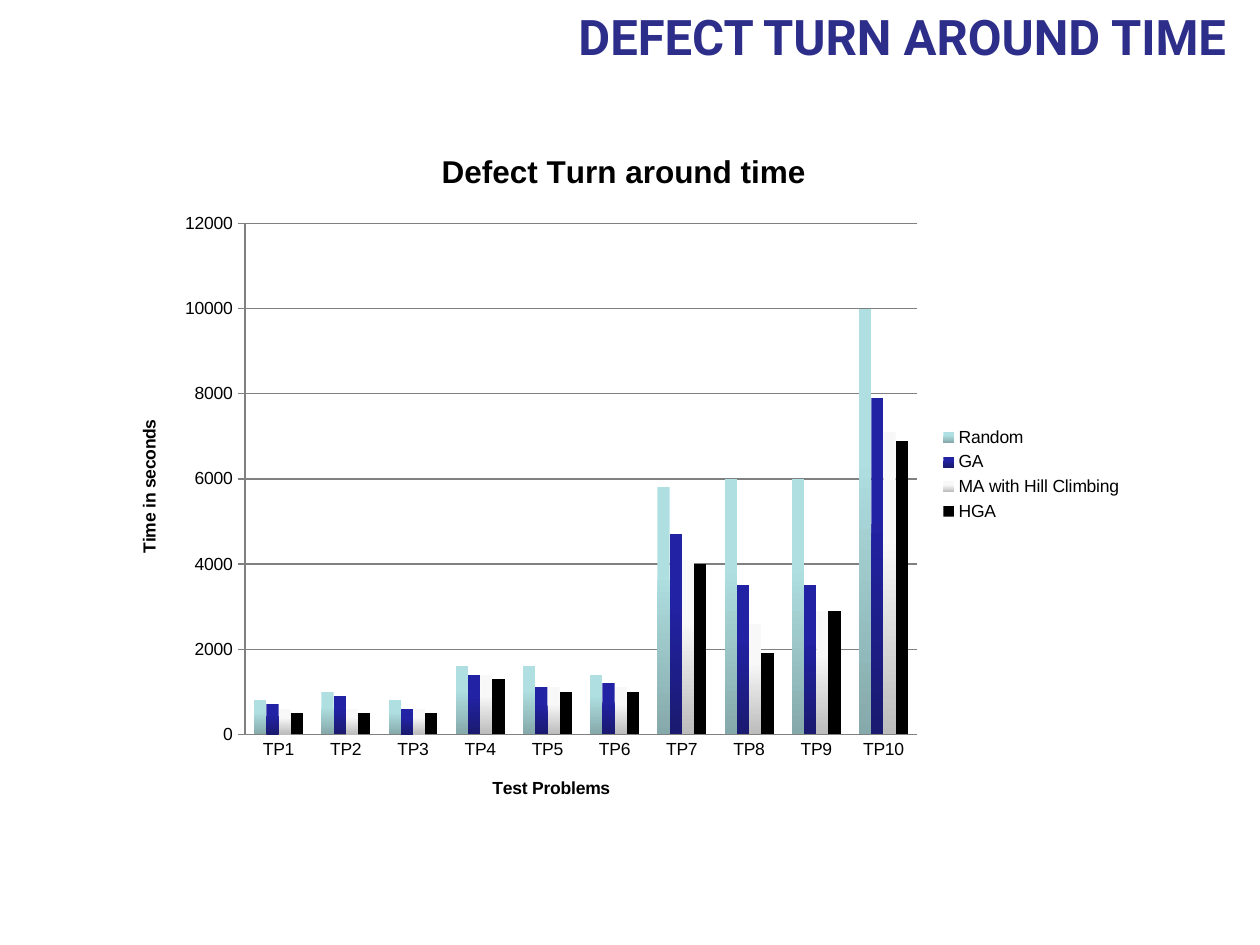
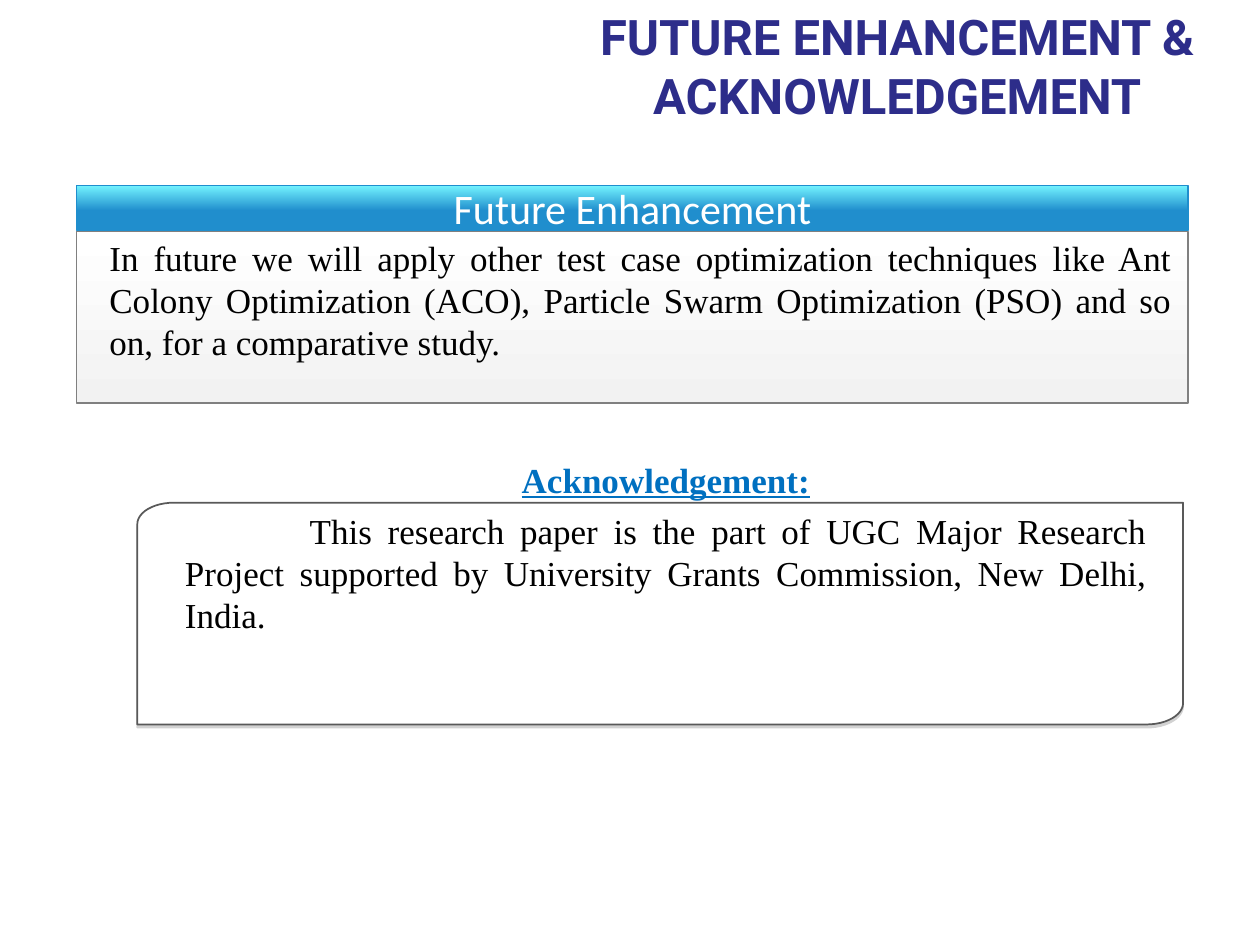
from math import cos, pi, sin

from lxml import etree
from pptx import Presentation
from pptx.chart.data import CategoryChartData
from pptx.dml.color import RGBColor
from pptx.enum.chart import XL_CHART_TYPE, XL_LEGEND_POSITION, XL_TICK_MARK
from pptx.enum.shapes import MSO_SHAPE
from pptx.enum.text import MSO_ANCHOR, MSO_AUTO_SIZE, PP_ALIGN
from pptx.oxml.ns import nsdecls
from pptx.util import Pt

PX = 9144  # 100 px to the inch
COLUMN = XL_CHART_TYPE.COLUMN_CLUSTERED
RIGHT = XL_LEGEND_POSITION.RIGHT
NONE, CROSS = XL_TICK_MARK.NONE, XL_TICK_MARK.CROSS
RECT = MSO_SHAPE.RECTANGLE
TOP, MIDDLE = MSO_ANCHOR.TOP, MSO_ANCHOR.MIDDLE
FIXED = MSO_AUTO_SIZE.NONE
CENTER, JUSTIFY = PP_ALIGN.CENTER, PP_ALIGN.JUSTIFY

NAVY = RGBColor(0x2D, 0x2D, 0x8A)
BLUE = RGBColor(0x00, 0x70, 0xC0)
CYAN = RGBColor(0x74, 0xF4, 0xFF)
AZURE = RGBColor(0x20, 0x8E, 0xCD)
BLACK = RGBColor(0x00, 0x00, 0x00)
WHITE = RGBColor(0xFF, 0xFF, 0xFF)
PALE = RGBColor(0xF2, 0xF2, 0xF2)
GREY = RGBColor(0x80, 0x80, 0x80)
DARK = RGBColor(0x59, 0x59, 0x59)
AQUA = RGBColor(0xAF, 0xDF, 0xE1)
TEAL = RGBColor(0x86, 0xA9, 0xAB)
INDIGO = RGBColor(0x22, 0x22, 0xA4)
DEEP = RGBColor(0x1A, 0x1A, 0x70)
SNOW = RGBColor(0xF8, 0xF8, 0xF8)
SILVER = RGBColor(0xBC, 0xBC, 0xBC)

SERIF = "Times New Roman"


def write(par, text, size, font, color, bold=False, align=CENTER):
    par.alignment = align
    run = par.add_run()
    run.text = text
    run.font.size = Pt(size)
    run.font.name = font
    run.font.bold = bold
    run.font.color.rgb = color
    return run


def shade(fill, top, low, start=0, stop=1):
    fill.gradient()
    fill.gradient_angle = 270
    for mark, color, place in zip(fill.gradient_stops, (top, low), (start, stop)):
        mark.color.rgb = color
        mark.position = place


prs = Presentation()
prs.slide_width, prs.slide_height = 1000 * PX, 750 * PX

# Both slides with their titles
slides = []
for text, left, height in (("DEFECT TURN AROUND TIME", 432, 57),
                           ("FUTURE ENHANCEMENT & ACKNOWLEDGEMENT", 424, 104)):
    slide = prs.slides.add_slide(prs.slide_layouts[5])
    title = slide.shapes.title
    title.left, title.top = left * PX, 0
    title.width, title.height = (1000 - left) * PX, height * PX
    frame = title.text_frame
    frame.auto_size = FIXED
    frame.vertical_anchor = TOP
    write(frame.paragraphs[0], text, 28, "Roboto", NAVY, True)
    slides.append(slide)
first, second = slides

# Slide 1: turn around time per test problem
series = (
    ("Random", (800, 1000, 800, 1600, 1600, 1400, 5800, 6000, 6000, 10000), AQUA, TEAL),
    ("GA", (700, 900, 600, 1400, 1100, 1200, 4700, 3500, 3500, 7900), INDIGO, DEEP),
    ("MA with Hill Climbing",
     (600, 600, 600, 1400, 1100, 1100, 4100, 2600, 2900, 7100), SNOW, SILVER),
    ("HGA", (500, 500, 500, 1300, 1000, 1000, 4000, 1900, 2900, 6900), BLACK, BLACK),
)
data = CategoryChartData()
data.categories = [f"TP{n}" for n in range(1, 11)]
for name, vals, _, _ in series:
    data.add_series(name, vals)
area = [n * PX for n in (89, 99, 812, 555)]
chart = first.shapes.add_chart(COLUMN, *area, data).chart
chart.font.size = Pt(10)
chart.font.name = "Arial"
chart.font.color.rgb = BLACK
chart.has_title = True
write(chart.chart_title.text_frame.paragraphs[0], "Defect Turn around time",
      18, "Arial", BLACK, True)
chart.has_legend = True
chart.legend.position = RIGHT
chart.legend.include_in_layout = False

# Axes
for axis, text, tick in ((chart.category_axis, "Test Problems", NONE),
                         (chart.value_axis, "Time in seconds", CROSS)):
    axis.has_title = True
    write(axis.axis_title.text_frame.paragraphs[0], text, 10, "Arial", BLACK, True)
    axis.major_tick_mark = tick
    axis.minor_tick_mark = NONE
    axis.format.line.color.rgb = GREY
chart.value_axis.minimum_scale = 0
chart.value_axis.maximum_scale = 12000
chart.value_axis.major_unit = 2000
chart.value_axis.major_gridlines.format.line.color.rgb = GREY

# Bars
plot = chart.plots[0]
plot.gap_width = 150
plot.overlap = 0
plot.vary_by_categories = False
for bars, (_, _, top, low) in zip(plot.series, series):
    bars.invert_if_negative = False
    if top == low:
        bars.format.fill.solid()
        bars.format.fill.fore_color.rgb = top
    else:
        shade(bars.format.fill, top, low, 0.35)

# Slide 2: header band and panel
panels = []
for y, high, top, low, stop, edge in ((147, 36, CYAN, AZURE, 0.56, AZURE),
                                      (184, 136, WHITE, PALE, 1, GREY)):
    box = [n * PX for n in (61, y, 882, high)]
    panel = second.shapes.add_shape(RECT, *box)
    panel.shadow.inherit = False
    shade(panel.fill, top, low, 0, stop)
    panel.line.color.rgb = edge
    panel.line.width = Pt(0.75)
    panels.append(panel)
frame = panels[0].text_frame
frame.vertical_anchor = MIDDLE
write(frame.paragraphs[0], "Future Enhancement", 24, "Calibri", WHITE)

# Acknowledgement frame: two opposite corners rounded
left, top, right, low = 109, 399, 939, 575
wide, high, steps = 29, 17, 12
points = [(right, top)]
for x, y, turn in ((right - wide, low - high, 0), (left + wide, top + high, pi)):
    for n in range(steps + 1):
        angle = turn + n * pi / 2 / steps
        points.append((x + wide * cos(angle), y + high * sin(angle)))
    points.append((left, low) if turn == 0 else (right, top))
points = [(round(x * PX), round(y * PX)) for x, y in points]
path = second.shapes.build_freeform(*points[0])
path.add_line_segments(points[1:-1], close=True)
card = path.convert_to_shape()
card.fill.solid()
card.fill.fore_color.rgb = WHITE
card.line.color.rgb = DARK
card.line.width = Pt(1)
card.shadow.inherit = False
props = card.fill._xPr
props.remove(props.find("{*}effectLst"))
props.append(etree.fromstring(
    f'<a:effectLst {nsdecls("a")}><a:outerShdw blurRad="0" dist="22860" dir="5400000">'
    '<a:srgbClr val="808080"><a:alpha val="35000"/></a:srgbClr>'
    '</a:outerShdw></a:effectLst>'))

# Body texts
frames = []
for box in ((77, 183, 863, 131), (137, 359, 783, 151)):
    frame = second.shapes.add_textbox(*[n * PX for n in box]).text_frame
    frame.word_wrap = True
    frames.append(frame)
plan, thanks = frames
write(plan.paragraphs[0],
      "In future we will apply other test case optimization techniques like Ant "
      "Colony Optimization (ACO), Particle Swarm Optimization (PSO) and so on, "
      "for a comparative study.", 20, SERIF, BLACK, align=JUSTIFY)
head, note = thanks.paragraphs[0], thanks.add_paragraph()
write(head, "Acknowledgement:", 20, SERIF, BLUE, True).font.underline = True
write(note,
      "This research paper is the part of UGC Major Research Project supported by "
      "University Grants Commission, New Delhi, India.", 20, SERIF, BLACK, align=JUSTIFY)
for par in (head, note):
    par.space_before = Pt(5)
note._p.get_or_add_pPr().set("indent", str(99 * PX))

prs.save("out.pptx")
